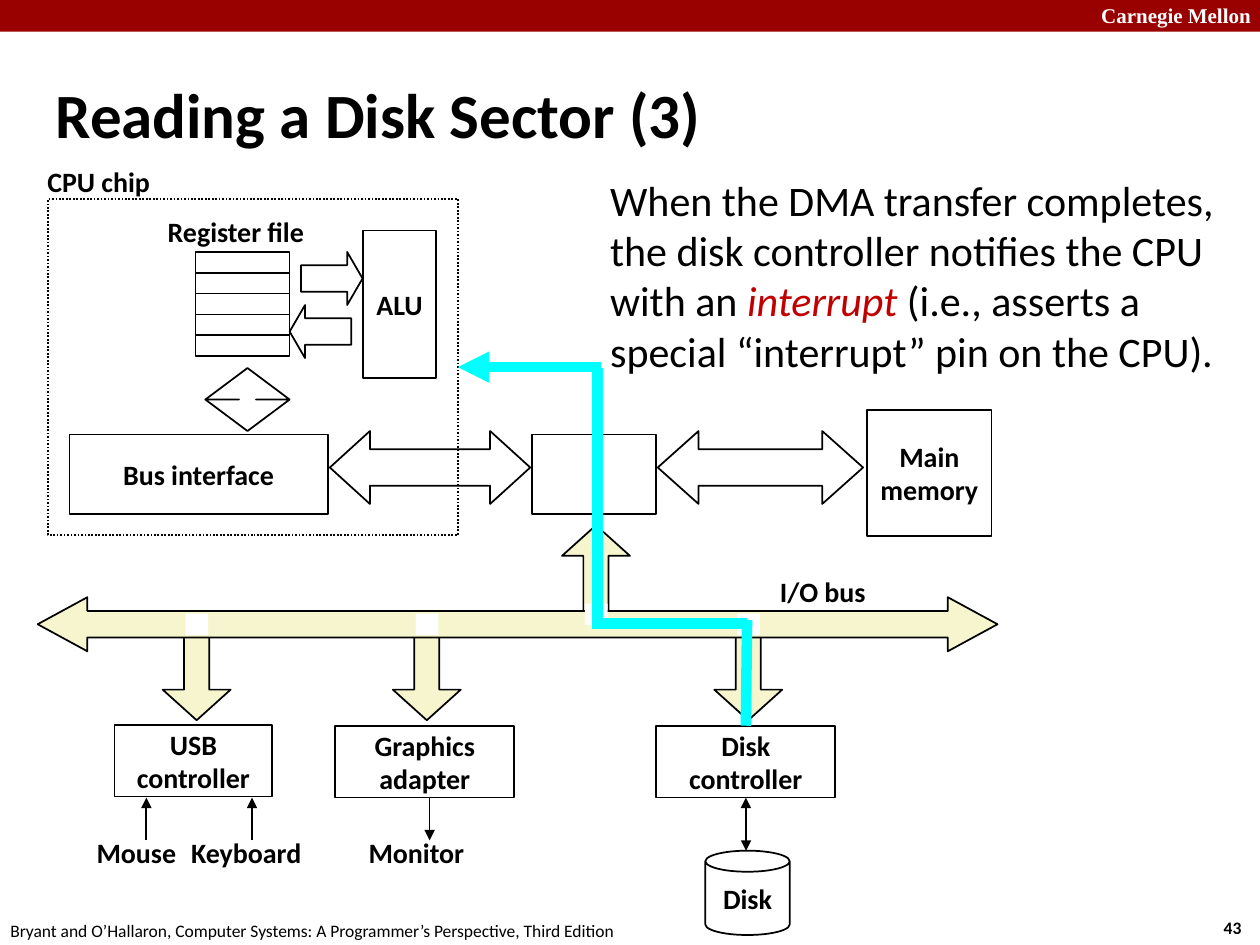
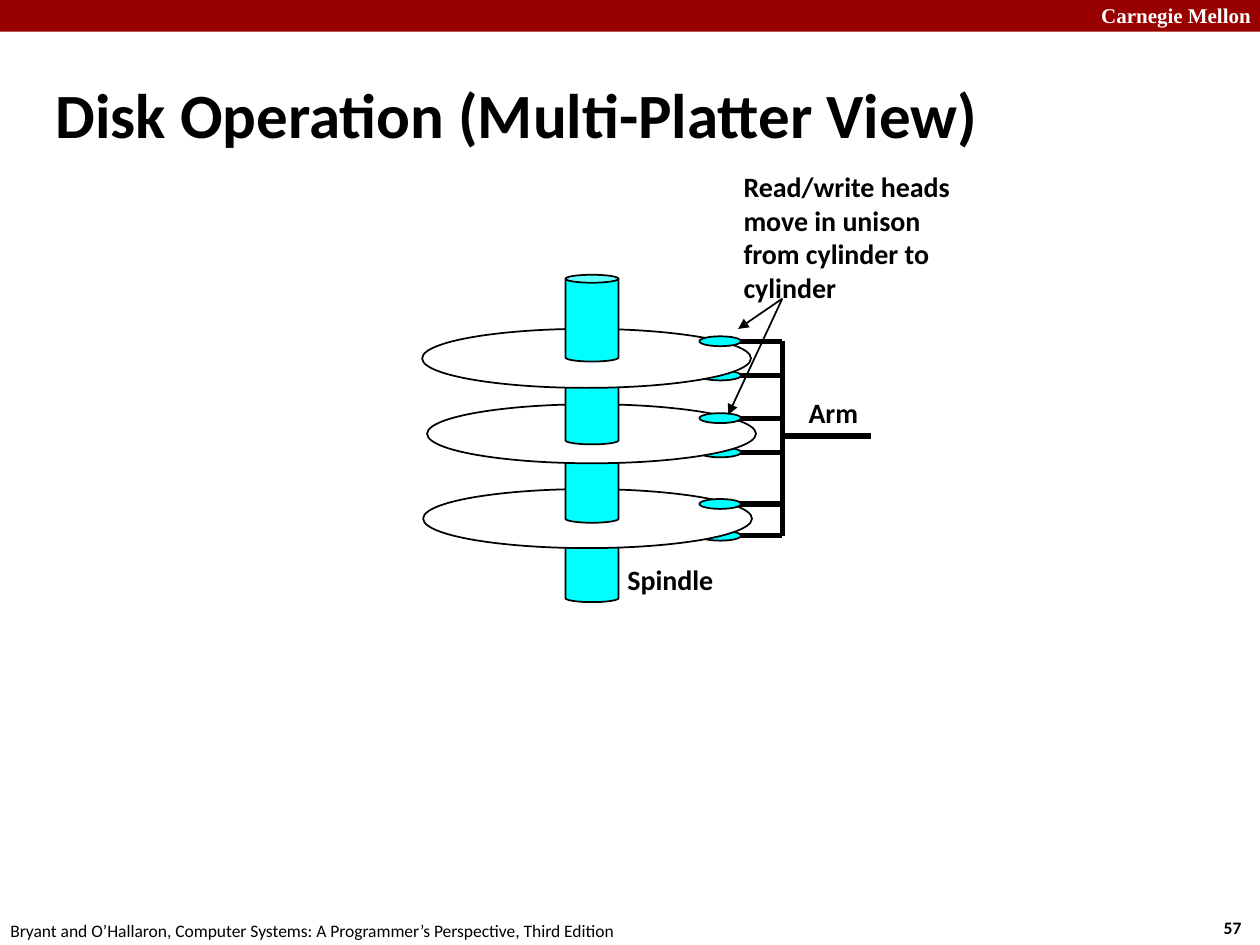
import pptx
import pptx.dml.color
import pptx.enum.dml
import pptx.enum.shapes
import pptx.enum.text
import pptx.oxml.ns
import pptx.oxml.xmlchemy
import pptx.util

Cm = pptx.util.Cm
Pt = pptx.util.Pt
shade = pptx.dml.color.RGBColor.from_string
kinds = pptx.enum.shapes.MSO_SHAPE
aligns = pptx.enum.text.PP_ALIGN
anchors = pptx.enum.text.MSO_ANCHOR

BLACK, WHITE = "000000", "FFFFFF"
RED, DARK = "C00000", "990000"
CREAM, CYAN = "F7F5CD", "00FFFF"
FONT = "Calibri"


def put(slide, kind, box, text="", fill=None, edge=BLACK, adjust=(), size=16,
        bold=True, color=BLACK, font=FONT, align=aligns.CENTER,
        anchor=anchors.MIDDLE, wrap=False):
    """Add a shape, or a text box when kind is None; box is in cm."""
    place = [Cm(length) for length in box]
    if kind is None:
        shape = slide.shapes.add_textbox(*place)
    else:
        shape = slide.shapes.add_shape(kind, *place)
        shape.shadow.inherit = False
        if fill:
            shape.fill.solid()
            shape.fill.fore_color.rgb = shade(fill)
        else:
            shape.fill.background()
        if edge:
            shape.line.color.rgb = shade(edge)
            shape.line.width = Pt(1)
        else:
            shape.line.fill.background()
        for index, value in enumerate(adjust):
            shape.adjustments[index] = value
    frame = shape.text_frame
    frame.word_wrap = wrap
    frame.vertical_anchor = anchor
    frame.margin_left = frame.margin_right = Cm(0.13)
    frame.margin_top = frame.margin_bottom = Cm(0.13)
    frame.text = text
    for para in frame.paragraphs:
        para.alignment = align
        for run in para.runs:
            run.font.name = font
            run.font.size = Pt(size)
            run.font.bold = bold
            run.font.color.rgb = shade(color)
    return shape


def link(slide, start, end, color=BLACK, width=1, tips=()):
    """Add a straight line; tips may hold headEnd and tailEnd, in that order."""
    line = slide.shapes.add_connector(
        pptx.enum.shapes.MSO_CONNECTOR.STRAIGHT,
        Cm(start[0]), Cm(start[1]), Cm(end[0]), Cm(end[1]))
    line.line.color.rgb = shade(color)
    line.line.width = Pt(width)
    props = line._element.spPr
    stroke = props.find(pptx.oxml.ns.qn("a:ln"))
    for tip in tips:
        arrow = pptx.oxml.xmlchemy.OxmlElement("a:" + tip)
        arrow.set("type", "triangle")
        stroke.append(arrow)
    props.append(pptx.oxml.xmlchemy.OxmlElement("a:effectLst"))
    return line


deck = pptx.Presentation()
deck.slide_width, deck.slide_height = Cm(25.4), Cm(19.05)

# Band, title and footer of both slides
pages = []
for title, number in [("Reading a Disk Sector (3)", "43"),
                      ("Disk Operation (Multi-Platter View)", "57")]:
    page = deck.slides.add_slide(deck.slide_layouts[6])
    put(page, kinds.RECTANGLE, (0, 0, 25.4, 0.64), fill=DARK, edge=None)
    put(page, None, (22.07, -0.08, 3.38, 0.76), "Carnegie Mellon", size=12,
        color=WHITE, font="Times New Roman", align=aligns.LEFT, anchor=anchors.TOP)
    put(page, None, (0.08, 18.42, 12.5, 0.64),
        "Bryant and O’Hallaron, Computer Systems: A Programmer’s Perspective, Third Edition",
        size=10, bold=False, align=aligns.LEFT, anchor=anchors.TOP)
    put(page, None, (24.54, 18.36, 0.64, 0.64), number, size=10,
        align=aligns.LEFT, anchor=anchors.TOP)
    put(page, None, (0.99, 1.22, 21.08, 2.11), title, size=36,
        align=aligns.LEFT, wrap=True)
    pages.append(page)
sector, platters = pages

# Slide 1: CPU chip and memory
chip = put(sector, kinds.RECTANGLE, (0.97, 4.01, 8.26, 6.78))
chip.line.dash_style = pptx.enum.dml.MSO_LINE.ROUND_DOT
for row in range(5):
    put(sector, kinds.RECTANGLE, (3.94, 5.08 + 0.42 * row, 1.9, 0.42))
for box, text in [((7.32, 4.65, 1.47, 2.97), "ALU"),
                  ((1.4, 8.76, 5.21, 1.6), "Bus interface"),
                  ((10.72, 8.76, 2.51, 1.6), ""),
                  ((17.48, 8.26, 2.51, 2.54), "Main\nmemory")]:
    put(sector, kinds.RECTANGLE, box, text)
for kind, box, adjust in [
        (kinds.RIGHT_ARROW, (6.07, 5.08, 1.24, 1.07), (0.5, 0.29)),
        (kinds.LEFT_ARROW, (5.84, 6.15, 1.24, 1.07), (0.5, 0.29)),
        (kinds.UP_DOWN_ARROW, (4.14, 7.42, 1.7, 1.27), (0.5, 0.2)),
        (kinds.LEFT_RIGHT_ARROW, (6.65, 8.69, 4.04, 1.47), (0.5, 0.55)),
        (kinds.LEFT_RIGHT_ARROW, (13.26, 8.69, 4.14, 1.47), (0.5, 0.56))]:
    put(sector, kind, box, adjust=adjust)

# I/O bus: white patches open the bus where a branch joins it
branches = [(kinds.UP_ARROW, 11.33, 10.59, 12.17)]
branches += [(kinds.DOWN_ARROW, left, 12.62, 12.37) for left in (3.28, 7.92, 14.4)]
for kind, left, top, joint in branches:
    put(sector, kind, (left, top, 1.37, 1.9), fill=CREAM, adjust=(0.37, 0.45))
put(sector, kinds.LEFT_RIGHT_ARROW, (0.76, 12.04, 19.35, 1.09), fill=CREAM,
    adjust=(0.49, 0.92))
for kind, left, top, joint in branches:
    put(sector, kinds.RECTANGLE, (left + 0.46, joint, 0.46, 0.43), fill=WHITE, edge=None)

# Devices
put(sector, kinds.RECTANGLE, (2.31, 14.61, 3.18, 1.45), "USB\ncontroller")
put(sector, kinds.RECTANGLE, (6.76, 14.63, 3.61, 1.45), "Graphics\nadapter")
disk = put(sector, kinds.RECTANGLE, (13.23, 14.63, 3.61, 1.45), "Disk\ncontroller")
put(sector, kinds.CAN, (14.22, 17.15, 1.7, 1.7), "Disk", adjust=(0.25,))
for x, start, end in [(2.95, 16.94, 16.08), (5.08, 16.94, 16.08), (8.66, 16.08, 16.94)]:
    link(sector, (x, start), (x, end), tips=["tailEnd"])
cable = link(sector, (15.04, 16.08), (15.04, 17.15), tips=["headEnd", "tailEnd"])
cable.begin_connect(disk, 2)

for left, top, width, text in [
        (0.81, 3.23, 2.36, "CPU chip"), (3.23, 4.24, 3.05, "Register file"),
        (15.57, 11.51, 2.03, "I/O bus"), (1.8, 16.76, 1.9, "Mouse"),
        (3.71, 16.76, 2.51, "Keyboard"), (7.29, 16.76, 2.21, "Monitor")]:
    put(sector, None, (left, top, width, 0.84), text)

# Interrupt route from the disk controller to the chip
signal = link(sector, (12.12, 7.4), (9.23, 7.4), CYAN, 6, ["tailEnd"])
signal.end_connect(chip, 3)
link(sector, (12.04, 7.42), (12.04, 12.5), CYAN, 6)
link(sector, (11.94, 12.57), (15.06, 12.57), CYAN, 6)
drop = link(sector, (15.06, 12.5), (15.04, 14.63), CYAN, 6)
drop.end_connect(disk, 0)

body = put(sector, None, (12.17, 3.38, 12.9, 4.17), align=aligns.LEFT,
           anchor=anchors.TOP, wrap=True)
for text, color in [
        ("When the DMA transfer completes, the disk controller notifies the CPU with an ", BLACK),
        ("interrupt", RED),
        (" (i.e., asserts a special “interrupt” pin on the CPU).", BLACK)]:
    run = body.text_frame.paragraphs[0].add_run()
    run.text = text
    run.font.name = FONT
    run.font.size = Pt(24)
    run.font.italic = color == RED
    run.font.color.rgb = shade(color)

# Slide 2: stack built from the bottom platter up
spine = 15.77
for can, left, top, upper, lower in [(10.39, 8.53, 9.86, 10.16, 10.8),
                                     (8.79, 8.61, 8.15, 8.43, 9.12),
                                     (7.21, 8.51, 6.63, 6.88, 7.57)]:
    for head in (lower, upper):
        if head == upper:
            put(platters, kinds.CAN, (11.4, can, 1.07, 1.75), fill=CYAN, adjust=(0.15,))
            put(platters, kinds.OVAL, (left, top, 6.63, 1.19), fill=WHITE)
        link(platters, (spine, head), (14.5, head), width=3)
        put(platters, kinds.OVAL, (14.1, head - 0.1, 0.84, 0.2), fill=CYAN)
put(platters, kinds.CAN, (11.4, 5.54, 1.07, 1.75), fill=CYAN, adjust=(0.15,))
link(platters, (spine, 6.88), (spine, 10.8), width=3)
link(platters, (spine, 8.79), (17.55, 8.79), width=3)

put(platters, None, (16.15, 7.9, 1.3, 0.84), "Arm")
put(platters, None, (12.5, 11.25, 2.03, 0.84), "Spindle")
put(platters, None, (14.86, 3.3, 5.87, 2.95),
    "Read/write heads\nmove in unison\nfrom cylinder to cylinder",
    align=aligns.LEFT, wrap=True)
for end in [(14.88, 6.63), (14.68, 8.36)]:
    link(platters, (spine, 6.02), end, tips=["tailEnd"])

deck.save("out.pptx")
